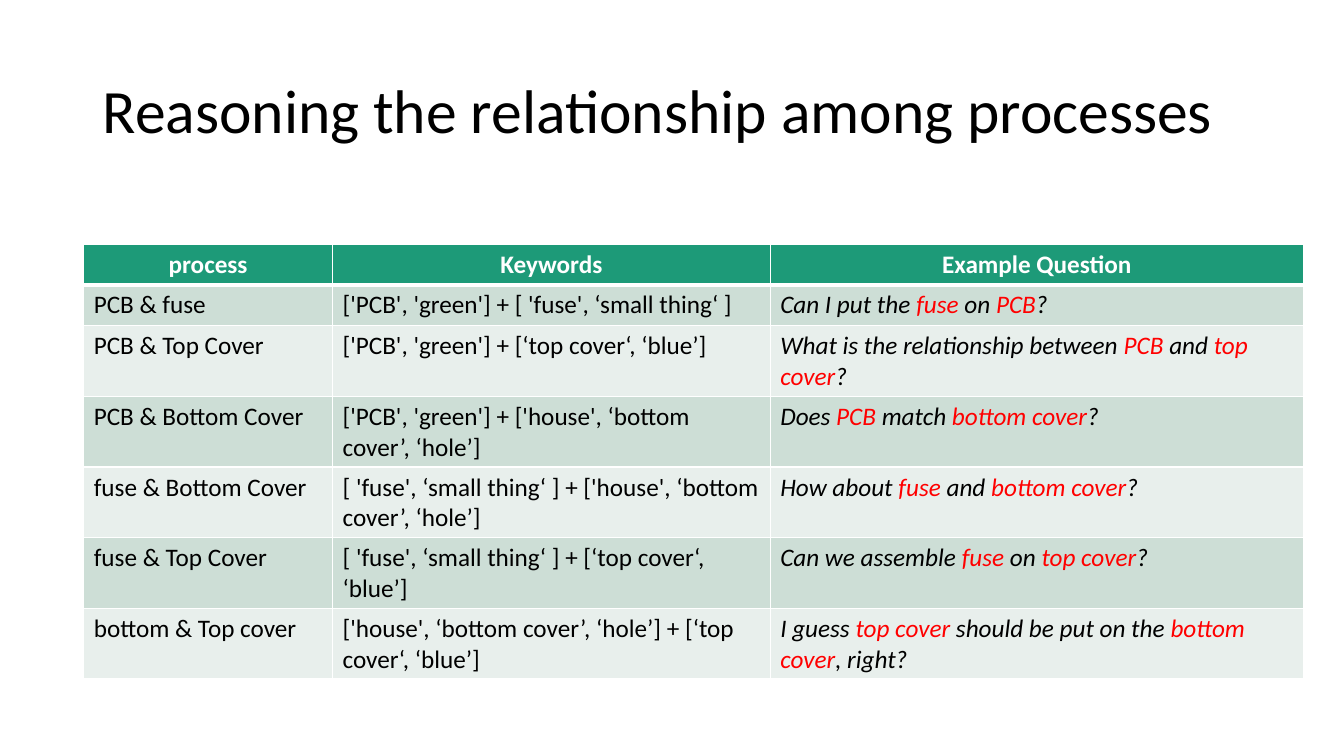
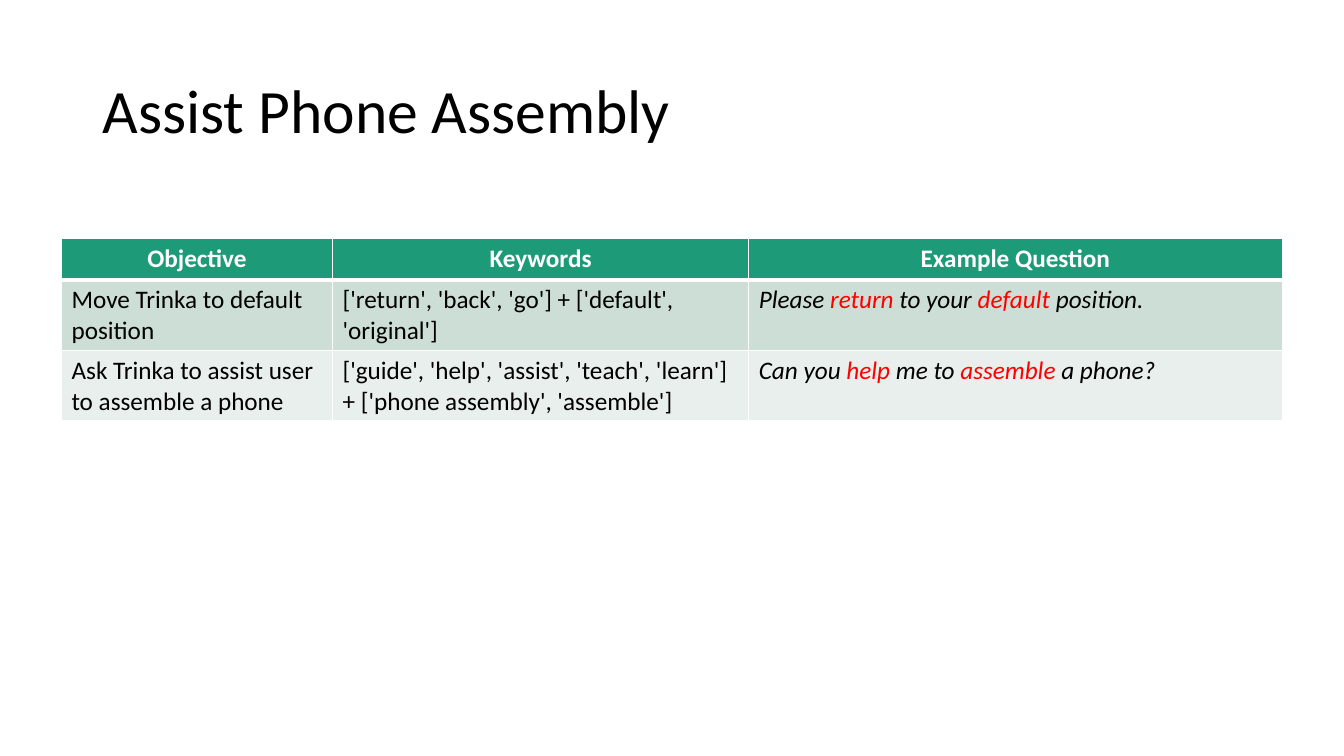
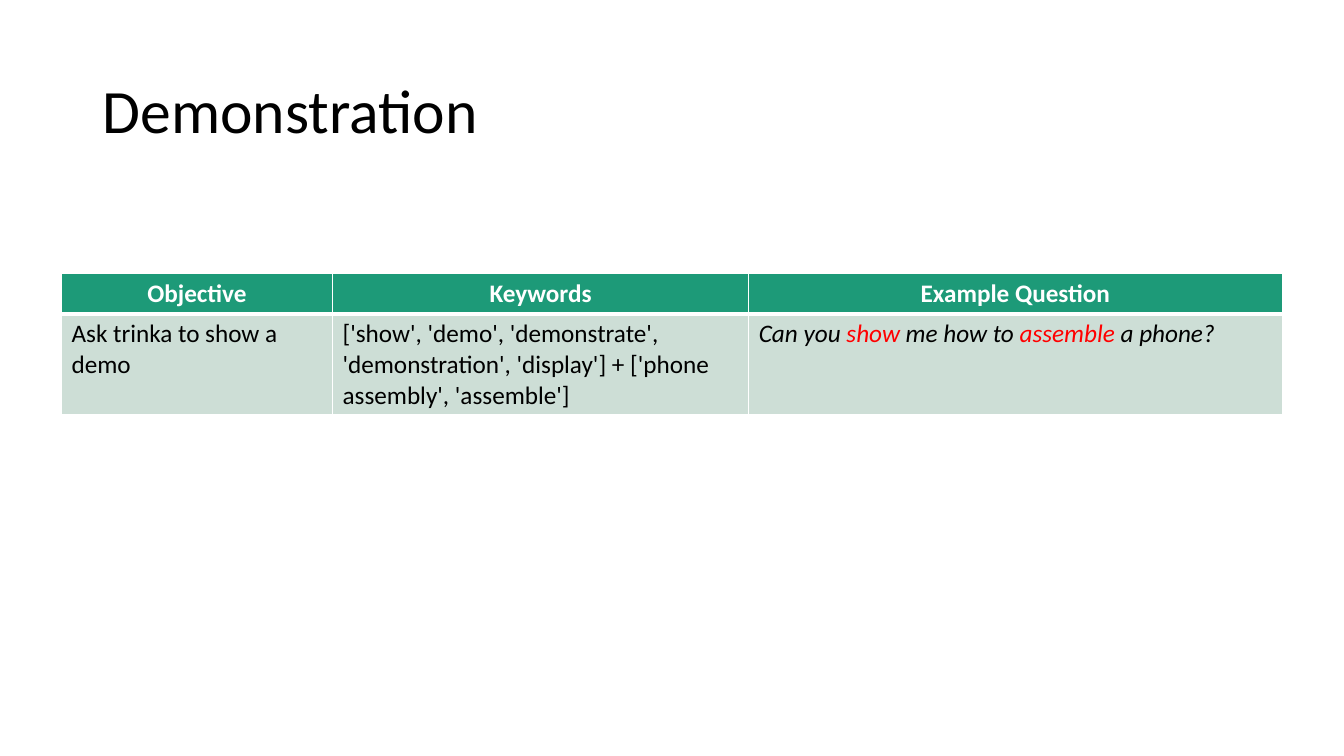
"""Build three slides of voice commands, each with a title and a keyword table."""
from lxml import etree
from pptx import Presentation
from pptx import util as u
from pptx.dml import color
from pptx.enum import text
from pptx.oxml import ns

COLORS = {
    "ink": "000000",
    "white": "FFFFFF",
    "keyword": "FF0000",
    "header": "1D9A78",
    "odd": "CDDED6",
    "even": "E8EFEC",
}
QUESTION_COLUMN = 2


def rgb(name):
    return color.RGBColor.from_string(COLORS[name])


class Deck:
    font_name = "Calibri"
    row_height = u.Cm(1.03)

    def __init__(self):
        self.prs = Presentation()
        self.prs.slide_width = u.Cm(33.87)
        self.prs.slide_height = u.Cm(19.05)
        self.slide = None

    def add_slide(self, heading):
        self.slide = self.prs.slides.add_slide(self.prs.slide_layouts[6])
        self.title(heading)

    def style(self, paragraph, size, ink, bold=False, italic=False):
        font = paragraph.font
        font.name = self.font_name
        font.size = u.Pt(size)
        font.bold = bold
        font.italic = italic
        font.color.rgb = rgb(ink)

    def title(self, heading):
        box = self.slide.shapes.add_textbox(u.Cm(2.34), u.Cm(1.02), u.Cm(29.21), u.Cm(3.68))
        frame = box.text_frame
        frame.word_wrap = True
        frame.vertical_anchor = text.MSO_ANCHOR.MIDDLE
        paragraph = frame.paragraphs[0]
        paragraph.text = heading
        paragraph.line_spacing = 0.9
        self.style(paragraph, 44, "ink")

    def borders(self, cell, row):
        widths = {"L": 1, "R": 1, "T": 3 if row == 1 else 1, "B": 3 if row == 0 else 1}
        properties = cell._tc.get_or_add_tcPr()
        for side, width in widths.items():
            line = etree.SubElement(properties, ns.qn(f"a:ln{side}"), w=str(u.Pt(width)))
            fill = etree.SubElement(line, ns.qn("a:solidFill"))
            etree.SubElement(fill, ns.qn("a:srgbClr"), val=COLORS["white"])

    def cell(self, cell, row, column, wording):
        self.borders(cell, row)
        cell.fill.solid()
        paragraph = cell.text_frame.paragraphs[0]
        if row == 0:
            cell.fill.fore_color.rgb = rgb("header")
            paragraph.text = wording
            paragraph.alignment = text.PP_ALIGN.CENTER
            self.style(paragraph, 18, "white", bold=True)
            return
        cell.fill.fore_color.rgb = rgb("odd" if row % 2 else "even")
        self.style(paragraph, 18, "ink", italic=column == QUESTION_COLUMN)
        for index, part in enumerate(wording.split("*")):
            run = paragraph.add_run()
            run.text = part
            run.font.color.rgb = rgb("keyword" if index % 2 else "ink")

    def table(self, left, top, widths, rows):
        table = self.slide.shapes.add_table(
            len(rows), len(widths), u.Cm(left), u.Cm(top),
            u.Cm(sum(widths)), self.row_height * len(rows),
        ).table
        for column, width in zip(table.columns, widths):
            column.width = u.Cm(width)
        for r, row in enumerate(rows):
            table.rows[r].height = self.row_height
            for c, wording in enumerate(row):
                self.cell(table.cell(r, c), r, c, wording)


def main():
    pcb = "['PCB', 'green']"
    fuse = "[ 'fuse', ‘small thing‘ ]"
    top = "[‘top cover‘, ‘blue’]"
    bottom = "['house', ‘bottom cover’, ‘hole’]"
    assembly = "['phone assembly', 'assemble']"
    objective_header = ("Objective", "Keywords", "Example Question")
    objective_widths = (6.83, 10.49, 13.44)

    deck = Deck()
    deck.add_slide("Reasoning the relationship among processes")
    deck.table(2.11, 6.15, (6.27, 11.03, 13.44), [
        ("process", "Keywords", "Example Question"),
        ("PCB & fuse", f"{pcb} + {fuse}", "Can I put the *fuse* on *PCB*?"),
        ("PCB & Top Cover", f"{pcb} + {top}",
         "What is the relationship between *PCB* and *top cover*?"),
        ("PCB & Bottom Cover", f"{pcb} + {bottom}", "Does *PCB* match *bottom cover*?"),
        ("fuse & Bottom Cover", f"{fuse} + {bottom}", "How about *fuse* and *bottom cover*?"),
        ("fuse & Top Cover", f"{fuse} + {top}", "Can we assemble *fuse* on *top cover*?"),
        ("bottom & Top cover", f"{bottom} + {top}",
         "I guess *top cover *should be put on the *bottom cover*, right?"),
    ])

    deck.add_slide("Assist Phone Assembly")
    deck.table(1.55, 6.02, objective_widths, [
        objective_header,
        ("Move Trinka to default position",
         "['return', 'back', 'go'] + ['default', 'original']",
         "Please *return* to your *default* position."),
        ("Ask Trinka to assist user to assemble a phone",
         f"['guide', 'help', 'assist', 'teach', 'learn'] + {assembly}",
         "Can you *help* me to *assemble* a phone?"),
    ])

    deck.add_slide("Demonstration")
    deck.table(1.55, 6.88, objective_widths, [
        objective_header,
        ("Ask trinka to show a demo",
         f"['show', 'demo', 'demonstrate', 'demonstration', 'display'] + {assembly}",
         "Can you *show* me how to *assemble* a phone?"),
    ])
    deck.prs.save("out.pptx")


if __name__ == "__main__":
    main()
